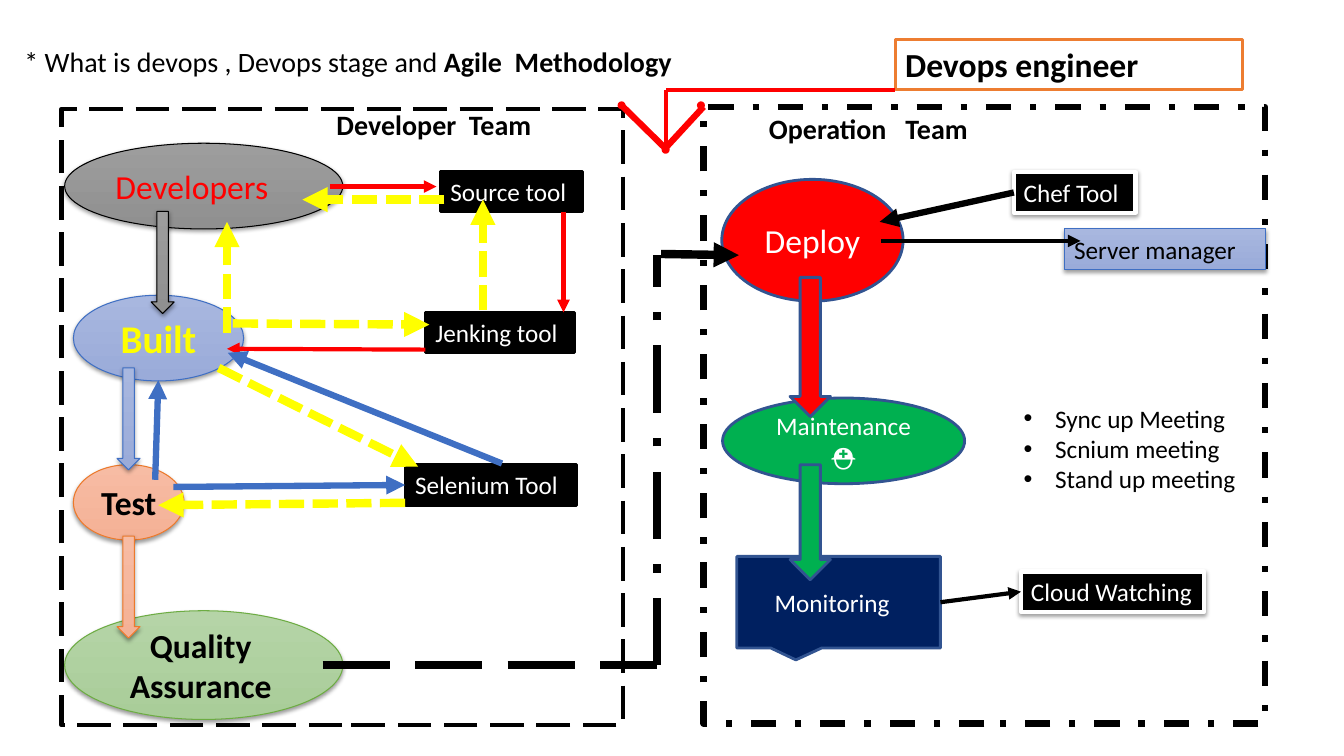
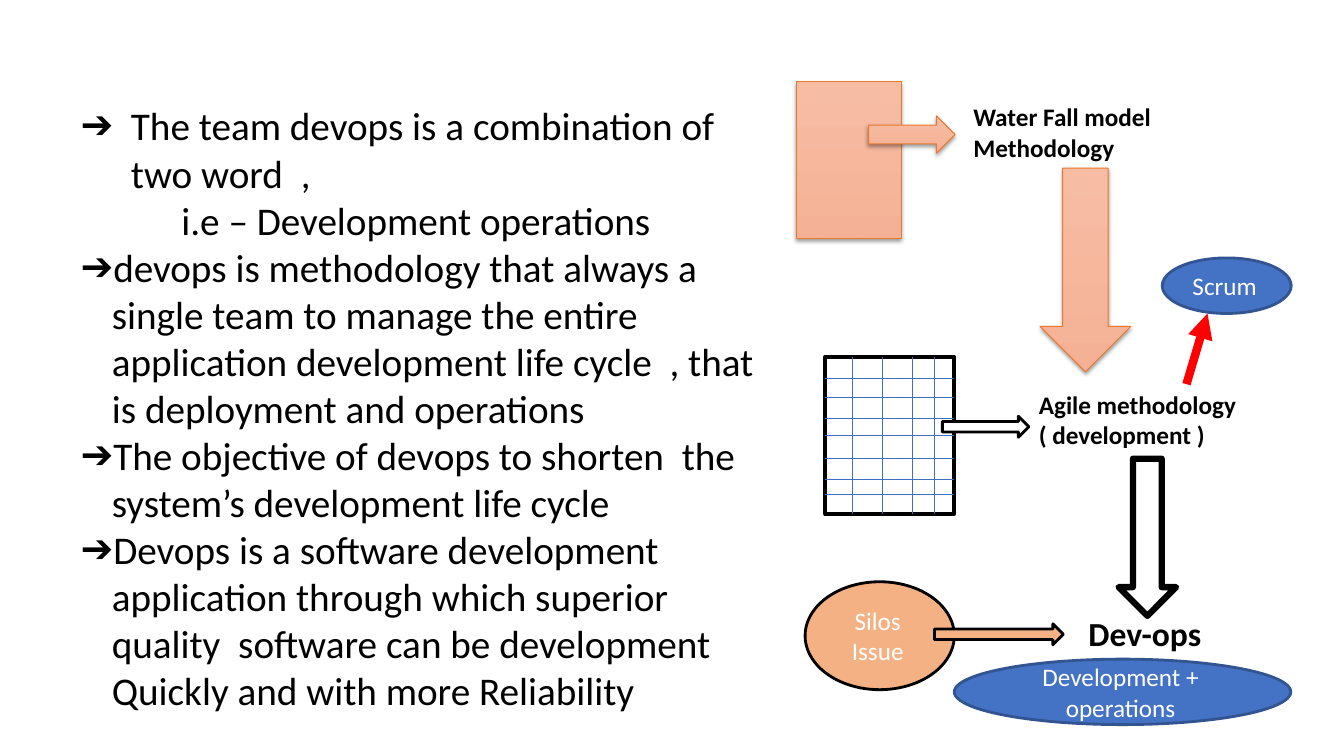
"""Build a two-slide deck on devops stages and delivery methods."""
from dataclasses import dataclass

from lxml import etree
from pptx import Presentation
from pptx import util as u
from pptx.dml.color import RGBColor
from pptx.enum import dml, shapes, text
from pptx.oxml import ns

Shape = shapes.MSO_SHAPE
Align = text.PP_ALIGN
Dash = dml.MSO_LINE


@dataclass(frozen=True)
class Finish:
    fill: tuple
    edge: str
    weight: float
    shadow: bool = False
    dash: object = None


@dataclass(frozen=True)
class Theme:
    font: str = "Calibri"
    body: int = 18
    lead: int = 20
    head: int = 24
    large: int = 28
    black: str = "000000"
    white: str = "FFFFFF"
    red: str = "FF0000"
    yellow: str = "FFFF00"
    blue: str = "3F6FC3"
    navy: str = "325491"
    gray_fade: Finish = Finish(("9D9D9D", "909090"), "000000", 0.75, True)
    blue_fade: Finish = Finish(("A8B7DF", "9AABD9"), "3F6FC3", 0.75, True)
    peach_fade: Finish = Finish(("F7BCA4", "F4B196"), "EC792B", 0.75, True)
    green_fade: Finish = Finish(("B5D4A7", "A9CD99"), "6DAC43", 0.75, True)
    red_solid: Finish = Finish(("FF0000",), "325491", 2)
    green_solid: Finish = Finish(("00B050",), "325491", 2)
    navy_solid: Finish = Finish(("002060",), "325491", 2)
    blue_solid: Finish = Finish(("4472C4",), "325491", 2)
    peach_solid: Finish = Finish(("F4B183",), "000000", 2)
    tool: Finish = Finish(("000000",), "000000", 2)
    raised_tool: Finish = Finish(("000000",), "FFFFFF", 3, True)
    badge: Finish = Finish(("FFFFFF",), "ED7D31", 2)
    dot: Finish = Finish(("FF0000",), "FF0000", 2)
    outline: Finish = Finish(("FFFFFF",), "000000", 2)
    sheet: Finish = Finish(("FFFFFF",), "000000", 3)
    thick_outline: Finish = Finish(("FFFFFF",), "000000", 4.5)
    dev_frame: Finish = Finish(("FFFFFF",), "000000", 3, dash=Dash.LONG_DASH)
    ops_frame: Finish = Finish(("FFFFFF",), "000000", 4.5, dash=Dash.DASH_DOT)


def lengths(*values):
    return [u.Cm(value) for value in values]


def add_element(parent, tag, **attributes):
    child = etree.SubElement(parent, ns.qn(tag))
    for name, value in attributes.items():
        child.set(name, value)
    return child


class Painter:
    def __init__(self, deck, theme):
        self.deck = deck
        self.theme = theme
        self.page = None

    def new_page(self, layout):
        self.page = self.deck.slides.add_slide(self.deck.slide_layouts.get_by_name(layout))

    def span(self, para, words, size, color, bold=False):
        span = para.add_run()
        span.text = words
        span.font.name = self.theme.font
        span.font.size = u.Pt(size)
        span.font.bold = bold
        span.font.color.rgb = RGBColor.from_string(color)

    def bullet(self, para, symbol, left, hanging):
        props = para._p.get_or_add_pPr()
        props.set("marL", str(u.Cm(left)))
        props.set("indent", str(-u.Cm(hanging)))
        if symbol:
            color = add_element(props, "a:buClr")
            add_element(color, "a:srgbClr", val=self.theme.black)
            add_element(props, "a:buFont", typeface="Arial")
            add_element(props, "a:buChar", char=symbol)

    def title(self, place, spans):
        box = self.page.shapes.title
        box.left, box.top, box.width, box.height = lengths(*place)
        frame = box.text_frame
        frame.auto_size = text.MSO_AUTO_SIZE.NONE
        frame.vertical_anchor = text.MSO_ANCHOR.TOP
        para = frame.paragraphs[0]
        para.alignment = Align.LEFT
        for words, bold in spans:
            self.span(para, words, self.theme.lead, self.theme.black, bold)

    def label(self, place, lines, size, bold=False, align=Align.LEFT):
        box = self.page.shapes.add_textbox(*lengths(*place))
        frame = box.text_frame
        frame.word_wrap = True
        for index, line in enumerate(lines):
            para = frame.paragraphs[0] if index == 0 else frame.add_paragraph()
            para.alignment = align
            words, *marker = line if isinstance(line, tuple) else (line,)
            if marker:
                self.bullet(para, *marker)
            self.span(para, words, size, self.theme.black, bold)

    def shape(self, kind, place, finish, adjust=()):
        box = self.page.shapes.add_shape(kind, *lengths(*place))
        for index, value in enumerate(adjust):
            box.adjustments[index] = value
        if len(finish.fill) == 1:
            box.fill.solid()
            box.fill.fore_color.rgb = RGBColor.from_string(finish.fill[0])
        else:
            box.fill.gradient()
            box.fill.gradient_angle = 270
            for stop, color in zip(box.fill.gradient_stops, finish.fill):
                stop.color.rgb = RGBColor.from_string(color)
        self.stroke(box.line, finish.edge, finish.weight, finish.dash)
        box.shadow.inherit = False
        if finish.shadow:
            effects = box.element.spPr.find(ns.qn("a:effectLst"))
            shade = add_element(effects, "a:outerShdw", blurRad=str(u.Pt(3.1)),
                                dist=str(u.Pt(1.6)), dir="5400000", rotWithShape="0")
            color = add_element(shade, "a:srgbClr", val=self.theme.black)
            add_element(color, "a:alpha", val="38000")
        return box

    def node(self, kind, place, finish, words, size, color, bold=False,
             align=Align.CENTER, right_inset=0.25, adjust=()):
        box = self.shape(kind, place, finish, adjust)
        frame = box.text_frame
        frame.word_wrap = True
        frame.vertical_anchor = text.MSO_ANCHOR.MIDDLE
        frame.margin_right = u.Cm(right_inset)
        para = frame.paragraphs[0]
        para.alignment = align
        self.span(para, words, size, color, bold)
        return box

    def tool(self, place, words, finish, color):
        return self.node(Shape.RECTANGLE, (*place, 1.02), finish, words,
                         self.theme.body, color, align=Align.LEFT)

    def stroke(self, line, color, weight, dash=None):
        line.color.rgb = RGBColor.from_string(color)
        line.width = u.Pt(weight)
        if dash:
            line.dash_style = dash

    def line(self, ends, color, weight, dash=None, arrow=False, begin=None, end=None):
        link = self.page.shapes.add_connector(shapes.MSO_CONNECTOR.STRAIGHT, *lengths(*ends))
        if begin:
            link.begin_connect(*begin)
        if end:
            link.end_connect(*end)
        self.stroke(link.line, color, weight, dash)
        props = link.element.spPr
        if arrow:
            add_element(props.find(ns.qn("a:ln")), "a:tailEnd", type="triangle")
        add_element(props, "a:effectLst")


def draw_stages(painter):
    theme = painter.theme
    painter.new_page("Title Only")
    painter.title((0.36, 0.99, 22.2, 1.09), [
        ("* What is devops , Devops stage and ", False), ("Agile  Methodology", True)])
    painter.shape(Shape.RECTANGLE, (1.55, 2.74, 14.15, 15.54), theme.dev_frame)
    painter.shape(Shape.RECTANGLE, (17.73, 2.69, 14.15, 15.54), theme.ops_frame)
    painter.label((1.68, 2.59, 11.96, 1.09), ["Developer  Team"], theme.lead, True, Align.RIGHT)
    painter.label((19.13, 2.69, 11.96, 1.09), ["Operation   Team"], theme.lead, True)

    for place, finish, words, size, color, bold, inset in [
        ((1.63, 3.61, 7.01, 2.16), theme.gray_fade, "Developers", theme.head, theme.red, False, 0.85),
        ((1.85, 7.44, 4.29, 2.16), theme.blue_fade, "Built", theme.large, theme.yellow, True, 0.25),
        ((1.85, 11.71, 2.79, 1.9), theme.peach_fade, "Test", theme.head, theme.black, True, 0.25),
        ((1.63, 15.39, 7.01, 2.74), theme.green_fade, "Quality Assurance", theme.head,
         theme.black, True, 0.4),
        ((18.19, 4.52, 4.57, 3.07), theme.red_solid, "Deploy", theme.head, theme.white, False, 0.25),
        ((18.21, 10.03, 6.1, 2.16), theme.green_solid, "Maintenance ⛑", theme.body,
         theme.white, False, 0.25),
    ]:
        painter.node(Shape.OVAL, place, finish, words, size, color, bold, right_inset=inset)
    monitoring = painter.node(
        Shape.RECTANGULAR_CALLOUT, (18.57, 14.02, 5.13, 2.31), theme.navy_solid, "Monitoring",
        theme.body, theme.white, right_inset=0.58, adjust=(-0.21, 0.63))

    painter.tool((11.1, 4.32, 3.58), "Source tool", theme.tool, theme.white)
    painter.tool((10.72, 7.87, 3.76), "Jenking tool", theme.tool, theme.white)
    selenium = painter.tool((10.21, 11.71, 4.32), "Selenium Tool", theme.tool, theme.white)
    chef = painter.tool((25.55, 4.34, 3.07), "Chef Tool", theme.raised_tool, theme.white)
    painter.tool((26.82, 5.77, 5.08), "Server manager", theme.blue_fade, theme.black)
    cloud = painter.tool((25.73, 14.4, 4.62), "Cloud Watching", theme.raised_tool, theme.white)

    for place, finish in [
        ((3.81, 5.33, 0.58, 2.57), theme.gray_fade),
        ((2.95, 9.27, 0.58, 2.57), theme.blue_fade),
        ((2.95, 13.51, 0.58, 2.57), theme.peach_fade),
        ((19.91, 6.99, 1.02, 3.51), theme.red_solid),
        ((19.91, 11.71, 1.02, 2.9), theme.green_solid),
    ]:
        painter.shape(Shape.DOWN_ARROW, place, finish)

    for ends in [(8.31, 4.7, 11, 4.7), (14.2, 5.33, 14.2, 7.87), (10.72, 8.81, 5.72, 8.79)]:
        painter.line(ends, theme.red, 3, arrow=True)
    for ends in [
        (5.72, 8.38, 5.72, 5.59), (5.87, 8.15, 10.82, 8.18), (12.17, 7.82, 12.17, 5.03),
        (11.2, 5.03, 7.62, 5.03), (5.51, 9.27, 10.54, 11.76), (10.21, 12.67, 3.99, 12.73),
    ]:
        painter.line(ends, theme.yellow, 6, Dash.SQUARE_DOT, arrow=True)
    painter.line((4.37, 12.27, 10.21, 12.22), theme.blue, 4.5, arrow=True, end=(selenium, 1))
    for ends in [(12.65, 11.68, 5.74, 8.89), (3.91, 12.09, 3.99, 9.58)]:
        painter.line(ends, theme.blue, 4.5, arrow=True)

    painter.line((8.13, 16.76, 16.56, 16.76), theme.black, 6, Dash.LONG_DASH)
    painter.line((16.56, 16.76, 16.56, 6.43), theme.black, 6, Dash.LONG_DASH_DOT)
    painter.line((16.66, 6.4, 18.62, 6.43), theme.black, 6, arrow=True)
    painter.line((22.2, 6.07, 27.23, 6.07), theme.black, 3, arrow=True)
    painter.line((25.55, 4.85, 22.17, 5.59), theme.black, 4.5, arrow=True, begin=(chef, 1))
    painter.line((23.7, 15.18, 25.73, 14.91), theme.black, 3, arrow=True,
                 begin=(monitoring, 3), end=(cloud, 1))

    meetings = ["Sync up Meeting", "Scnium meeting", "Stand up meeting"]
    painter.label((25.55, 10.03, 6.32, 2.54),
                  [(words, "•", 0.79, 0.79) for words in meetings], theme.body)

    painter.node(Shape.RECTANGLE, (22.56, 0.99, 8.76, 1.27), theme.badge, "Devops engineer",
                 theme.head, theme.black, True, Align.LEFT)
    for ends, weight in [
        ((15.7, 2.69, 16.74, 3.71), 4.5), ((16.79, 3.71, 17.73, 2.69), 4.5),
        ((16.79, 3.68, 16.79, 2.26), 3), ((16.79, 2.26, 22.56, 2.26), 3),
    ]:
        painter.line(ends, theme.red, weight)
    for left, top in [(15.6, 2.59), (17.6, 2.59), (16.71, 3.71)]:
        painter.shape(Shape.OVAL, (left, top, 0.13, 0.13), theme.dot)


def draw_methods(painter):
    theme = painter.theme
    painter.new_page("Blank")
    painter.label((1.78, 2.44, 18.06, 15.65), [
        ("The team devops is a combination of two word  ,", "➔", 1.27, 1.27),
        ("i.e – Development operations", None, 2.54, 0),
        ("devops is methodology that always a single team to manage the entire application "
         "development life cycle  , that is deployment and operations", "➔", 0.79, 0.79),
        ("The objective of devops to shorten  the system’s development life cycle",
         "➔", 0.79, 0.79),
        ("Devops is a software development application through which superior quality  software "
         "can be development Quickly and with more Reliability", "➔", 0.79, 0.79),
    ], theme.large)

    painter.shape(Shape.RECTANGLE, (20.07, 2.06, 2.64, 3.96), theme.peach_fade)
    left, top, width, height = 20.8, 8.99, 3.25, 3.96
    right, bottom, middle = left + width, top + height, top + height / 2
    sheet = painter.shape(Shape.RECTANGLE, (left, top, width, height), theme.sheet)
    for column in (21.49, 22.23, 22.99, 23.55):
        painter.line((column, top, column, bottom), theme.blue, 0.75)
    for row in (9.53, 10.01, 10.54, 11.56, 12.09, 12.45):
        painter.line((left, row, right, row), theme.blue, 0.75)
    painter.line((left, middle, right, middle), theme.blue, 0.75,
                 begin=(sheet, 1), end=(sheet, 3))

    for place, finish, words in [
        ((29.29, 6.5, 3.25, 1.4), theme.blue_solid, "Scrum"),
        ((20.29, 14.66, 3.76, 2.72), theme.peach_solid, "Silos Issue"),
        ((24.05, 16.61, 8.48, 1.65), theme.blue_solid, "Development + operations"),
    ]:
        painter.node(Shape.OVAL, place, finish, words, theme.body, theme.white, right_inset=0.35)

    for kind, place, finish in [
        (Shape.RIGHT_ARROW, (21.89, 2.92, 2.18, 0.94), theme.peach_fade),
        (Shape.DOWN_ARROW, (26.21, 4.24, 2.29, 5.13), theme.peach_fade),
        (Shape.RIGHT_ARROW, (23.75, 10.49, 2.18, 0.53), theme.outline),
        (Shape.DOWN_ARROW, (28.19, 11.56, 1.45, 3.96), theme.thick_outline),
        (Shape.RIGHT_ARROW, (23.55, 15.72, 3.25, 0.53), theme.peach_solid),
    ]:
        painter.shape(kind, place, finish)
    painter.line((29.9, 9.68, 30.43, 7.9), theme.red, 6, arrow=True)

    for place, lines, size in [
        ((24.28, 2.44, 5, 1.78), ["Water Fall model", "Methodology"], theme.body),
        ((25.93, 9.68, 7.09, 1.78), ["Agile methodology", "( development )"], theme.body),
        ((27.18, 15.32, 4.24, 1.27), ["Dev-ops"], theme.head),
    ]:
        painter.label(place, lines, size, True)


def main():
    deck = Presentation()
    deck.slide_width, deck.slide_height = lengths(33.87, 19.05)
    painter = Painter(deck, Theme())
    draw_stages(painter)
    draw_methods(painter)
    deck.save("out.pptx")


if __name__ == "__main__":
    main()
